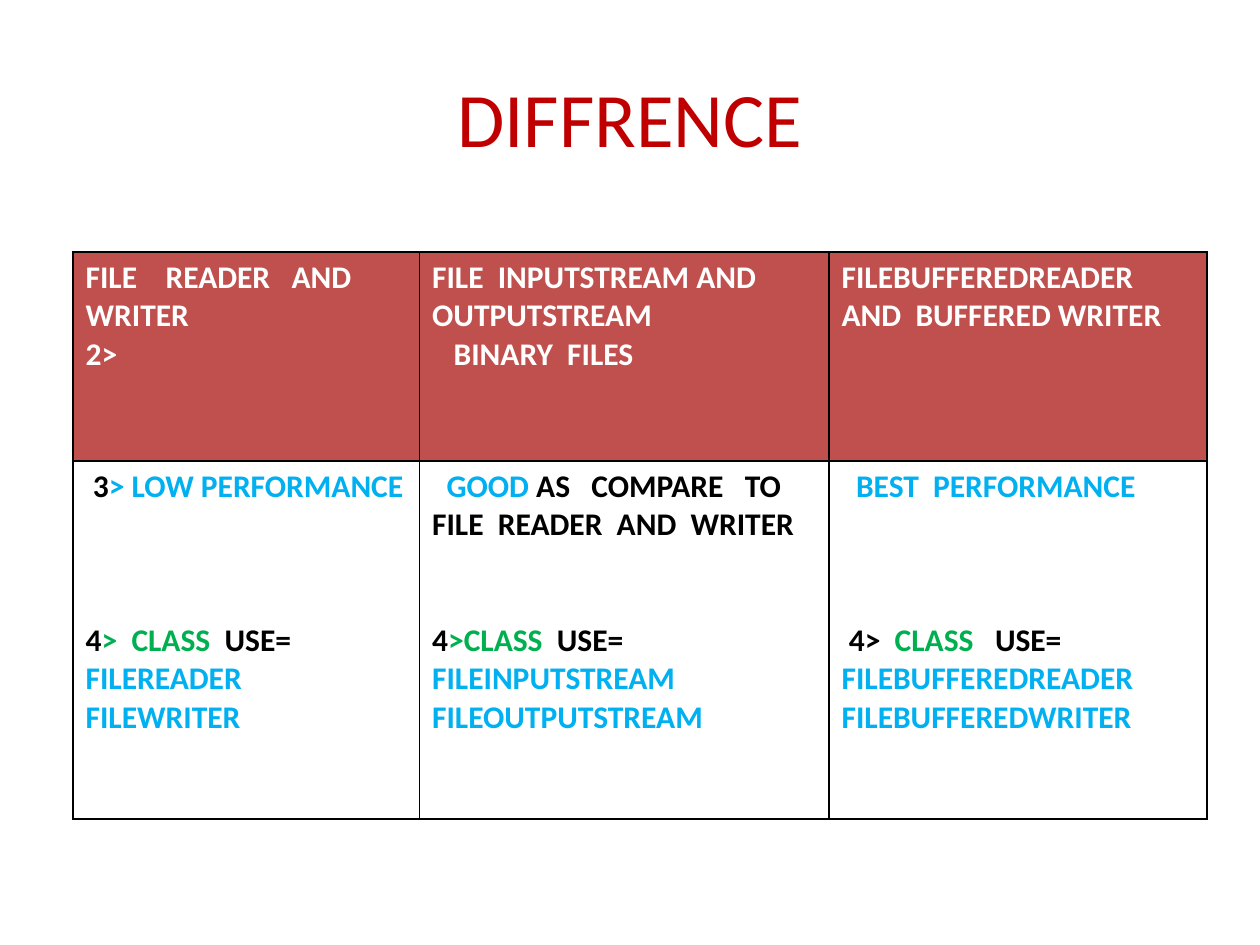
from dataclasses import dataclass

from lxml import etree
from pptx import Presentation, util as u
from pptx.dml.color import RGBColor
from pptx.enum import text
from pptx.oxml import ns

FONT = "Calibri"
COLORS = {
    "title": "C00000",
    "header": "C0504D",
    "white": "FFFFFF",
    "black": "000000",
    "blue": "00B0F0",
    "green": "00B050",
}
LINE_HEIGHT = 22  # points, one line of 18 pt text
SPACE_WIDTH = 0.057  # inches, one space of 18 pt text
COLUMN_WIDTHS = (2.75, 3.25, 3)
ROW_HEIGHTS = (1.66, 2.84)


@dataclass(frozen=True)
class Line:
    """A paragraph of (wording, colour) spans."""
    spans: tuple[tuple[str, str], ...]
    indent: int = 0  # first-line indent, in space widths
    gap: int = 0  # free lines above


def plain(wording: str, color: str, indent: int = 0) -> Line:
    return Line(((wording, color),), indent)


HEADERS = (
    (plain("FILE    READER   AND  WRITER", "white"), plain("2>", "white")),
    (plain("FILE  INPUTSTREAM AND  OUTPUTSTREAM", "white"),
     plain("BINARY  FILES", "white", 3)),
    (plain("FILEBUFFEREDREADER  AND  BUFFERED WRITER", "white"),),
)
DETAILS = (
    (Line((("3", "black"), ("> LOW PERFORMANCE", "blue")), indent=1),
     Line((("4", "black"), (">  CLASS  ", "green"), ("USE= ", "black"),
           ("FILEREADER", "blue")), gap=3),
     plain("FILEWRITER", "blue")),
    (Line((("GOOD ", "blue"),
           ("AS   COMPARE   TO   FILE  READER  AND  WRITER", "black")), indent=2),
     Line((("4", "black"), (">CLASS ", "green"), (" USE=", "black")), gap=2),
     plain("FILEINPUTSTREAM", "blue"),
     plain("FILEOUTPUTSTREAM", "blue")),
    (plain("BEST  PERFORMANCE", "blue", 2),
     Line((("4> ", "black"), (" CLASS   ", "green"), ("USE=", "black")),
          indent=1, gap=3),
     plain("FILEBUFFEREDREADER", "blue"),
     plain("FILEBUFFEREDWRITER", "blue")),
)


def rgb(name: str) -> RGBColor:
    return RGBColor.from_string(COLORS[name])


def add_borders(cell) -> None:
    """Outline a cell; borders must precede its fill in the XML."""
    properties = cell._tc.get_or_add_tcPr()
    for position, side in enumerate(("lnL", "lnR", "lnT", "lnB")):
        border = etree.Element(ns.qn(f"a:{side}"), w=str(u.Pt(1)))
        fill = etree.SubElement(border, ns.qn("a:solidFill"))
        etree.SubElement(fill, ns.qn("a:srgbClr"), val=COLORS["black"])
        properties.insert(position, border)


def fill_cell(cell, lines: tuple[Line, ...], background: str) -> None:
    cell.fill.solid()
    cell.fill.fore_color.rgb = rgb(background)
    add_borders(cell)
    frame = cell.text_frame
    for number, line in enumerate(lines):
        para = frame.add_paragraph() if number else frame.paragraphs[0]
        para.font.name = FONT
        para.font.size = u.Pt(18)
        para.font.bold = True
        para.space_before = u.Pt(line.gap * LINE_HEIGHT)
        if line.indent:
            para_properties = para._p.get_or_add_pPr()
            para_properties.set("marL", "0")
            para_properties.set("indent", str(u.Inches(line.indent * SPACE_WIDTH)))
        for wording, color in line.spans:
            span = para.add_run()
            span.text = wording
            span.font.color.rgb = rgb(color)


def add_title(page, wording: str) -> None:
    title = page.shapes.title
    title.left, title.top = u.Inches(0.5), u.Inches(0.3)
    title.width, title.height = u.Inches(9), u.Inches(1.25)
    title.text_frame.text = wording
    title.text_frame.vertical_anchor = text.MSO_ANCHOR.MIDDLE
    para = title.text_frame.paragraphs[0]
    para.alignment = text.PP_ALIGN.CENTER
    para.font.name = FONT
    para.font.size = u.Pt(44)
    para.font.color.rgb = rgb("title")


def add_comparison(page) -> None:
    table = page.shapes.add_table(
        len(ROW_HEIGHTS), len(COLUMN_WIDTHS), u.Inches(0.58), u.Inches(2),
        u.Inches(sum(COLUMN_WIDTHS)), u.Inches(sum(ROW_HEIGHTS))).table
    table.horz_banding = False
    for column, width in zip(table.columns, COLUMN_WIDTHS):
        column.width = u.Inches(width)
    for row, height in zip(table.rows, ROW_HEIGHTS):
        row.height = u.Inches(height)
    backgrounds = ("header", "white")
    for row, contents, background in zip(table.rows, (HEADERS, DETAILS), backgrounds):
        for cell, lines in zip(row.cells, contents):
            fill_cell(cell, lines, background)


def main() -> None:
    deck = Presentation()
    deck.slide_width, deck.slide_height = u.Inches(10), u.Inches(7.5)
    page = deck.slides.add_slide(deck.slide_layouts[5])  # title only
    add_title(page, "DIFFRENCE")
    add_comparison(page)
    deck.save("out.pptx")


if __name__ == "__main__":
    main()
